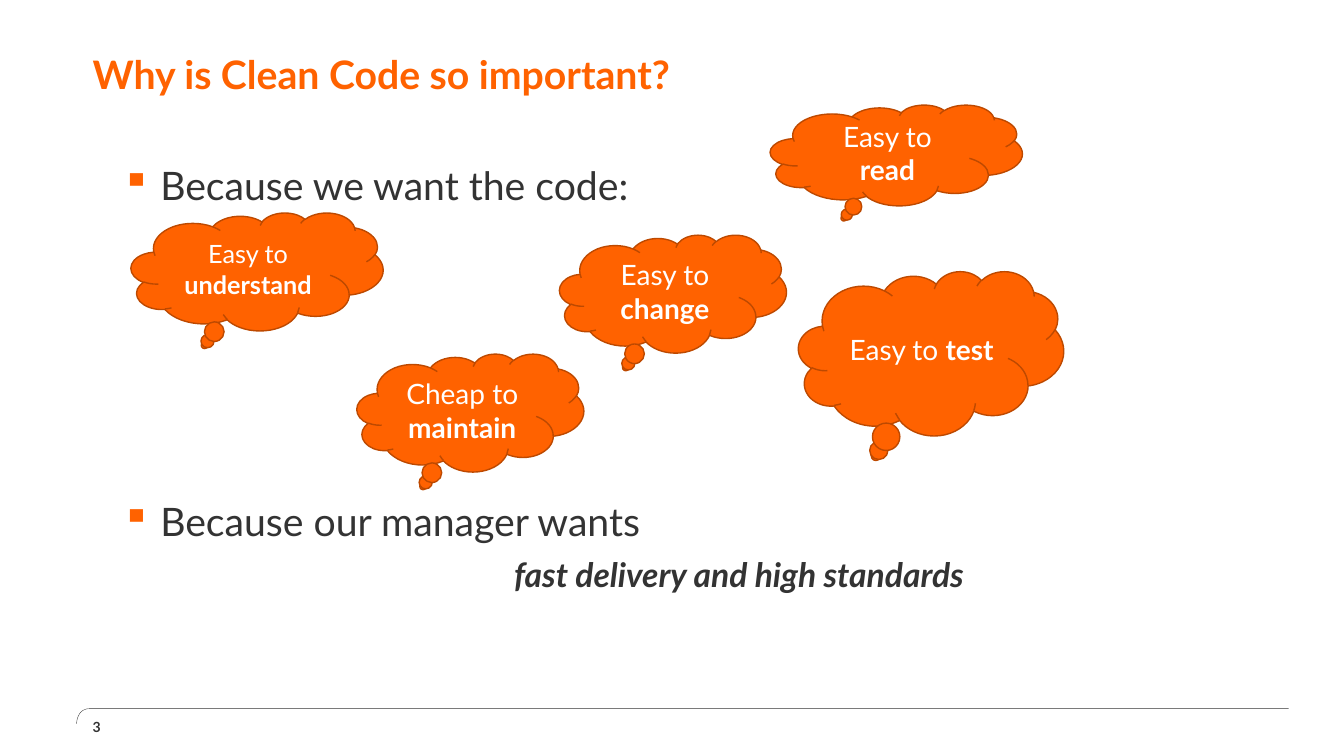
from dataclasses import dataclass

from lxml import etree
from pptx import Presentation
from pptx.dml.color import RGBColor
from pptx.enum.shapes import MSO_SHAPE
from pptx.enum.text import MSO_ANCHOR, PP_ALIGN
from pptx.oxml.ns import qn
from pptx.util import Pt

PX = 9144
FONT = "Lato"
CLOUD = MSO_SHAPE.CLOUD_CALLOUT
TOP, MIDDLE = MSO_ANCHOR.TOP, MSO_ANCHOR.MIDDLE
CENTER = PP_ALIGN.CENTER
COLORS = {
    "orange": "FF6200",
    "rust": "BD4900",
    "text": "333333",
    "white": "FFFFFF",
}


@dataclass(frozen=True)
class Cloud:
    left: int
    top: int
    width: int
    height: int
    lead: str
    quality: str
    size: int = 20


@dataclass(frozen=True)
class BodyLine:
    text: str
    size: int
    before: int
    left: int
    hanging: int = 0
    emphasis: bool = False


CLOUDS = (
    Cloud(764, 104, 250, 100, "Easy to ", "read"),
    Cloud(130, 211, 250, 117, "Easy to ", "understand", 18),
    Cloud(792, 269, 263, 163, "Easy to ", "test"),
    Cloud(354, 351, 225, 117, "Cheap to ", "maintain"),
    Cloud(555, 233, 225, 117, "Easy to ", "change"),
)
BODY_LINES = (
    BodyLine("Because we want the code:", 28, 0, 67, 38),
    BodyLine("Because our manager wants", 28, 216, 67, 38),
    BodyLine("fast delivery and high standards", 24, 12, 418, emphasis=True),
)


def rgb(name: str) -> RGBColor:
    return RGBColor.from_string(COLORS[name])


def add_run(p, text: str, color: str, **formats) -> None:
    r = p.add_run()
    r.text = text
    r.font.color.rgb = rgb(color)
    for name, value in {"name": FONT, **formats}.items():
        setattr(r.font, name, value)


def add_box(slide, left: int, top: int, width: int, height: int, anchor):
    sp = slide.shapes.add_textbox(left * PX, top * PX, width * PX, height * PX)
    tf = sp.text_frame
    settings = {
        "word_wrap": True,
        "vertical_anchor": anchor,
        "margin_left": 0,
        "margin_right": 0,
        "margin_top": 0,
        "margin_bottom": 0,
    }
    for name, value in settings.items():
        setattr(tf, name, value)
    return tf


def set_indent(p, left: int, hanging: int) -> None:
    p_pr = p._p.get_or_add_pPr()
    p_pr.set("marL", str(left * PX))
    p_pr.set("indent", str(-hanging * PX))
    if hanging:
        bu_clr = etree.SubElement(p_pr, qn("a:buClr"))
        etree.SubElement(bu_clr, qn("a:srgbClr"), val=COLORS["orange"])
        etree.SubElement(p_pr, qn("a:buChar"), char="▪")


def add_body(slide) -> None:
    tf = add_box(slide, 92, 173, 1147, 505, TOP)
    for i, line in enumerate(BODY_LINES):
        p = tf.add_paragraph() if i else tf.paragraphs[0]
        p.line_spacing = Pt(24)
        p.space_before = Pt(line.before)
        set_indent(p, line.left, line.hanging)
        add_run(p, line.text, "text", size=Pt(line.size),
                bold=line.emphasis, italic=line.emphasis)


def add_cloud(slide, cloud: Cloud) -> None:
    sp = slide.shapes.add_shape(CLOUD, cloud.left * PX, cloud.top * PX,
                                cloud.width * PX, cloud.height * PX)
    sp.shadow.inherit = False
    sp.fill.solid()
    sp.fill.fore_color.rgb = rgb("orange")
    sp.line.color.rgb = rgb("rust")
    sp.line.width = Pt(1)
    tf = sp.text_frame
    tf.word_wrap = True
    tf.vertical_anchor = MIDDLE
    p = tf.paragraphs[0]
    p.alignment = CENTER
    add_run(p, cloud.lead, "white", size=Pt(cloud.size))
    add_run(p, cloud.quality, "white", size=Pt(cloud.size), bold=True)


def add_footer_rule(slide) -> None:
    left, top, right, bend, drop = 76, 703, 1278, 13, 15
    steps = 12
    corner = []
    for i in range(steps + 1):
        t = i / steps
        x = left + bend * (1 - t) ** 3
        y = top + drop * (3 * t ** 2 - 2 * t ** 3)
        corner.append((round(x * PX), round(y * PX)))
    builder = slide.shapes.build_freeform(right * PX, top * PX)
    builder.add_line_segments(corner, close=False)
    sp = builder.convert_to_shape()
    sp.shadow.inherit = False
    sp.fill.background()
    sp.line.color.rgb = rgb("text")
    sp.line.width = Pt(0.25)


def main() -> None:
    prs = Presentation()
    prs.slide_width = 1333 * PX
    prs.slide_height = 750 * PX
    slide = prs.slides.add_slide(prs.slide_layouts[6])

    add_footer_rule(slide)
    add_body(slide)
    title = add_box(slide, 92, 31, 1147, 93, MIDDLE).paragraphs[0]
    title.line_spacing = Pt(28)
    add_run(title, "Why is Clean Code so important?", "orange",
            size=Pt(28), bold=True)
    number = add_box(slide, 92, 711, 54, 21, MIDDLE).paragraphs[0]
    add_run(number, "3", "text", size=Pt(10), bold=True)
    for cloud in CLOUDS:
        add_cloud(slide, cloud)

    prs.save("out.pptx")


if __name__ == "__main__":
    main()
